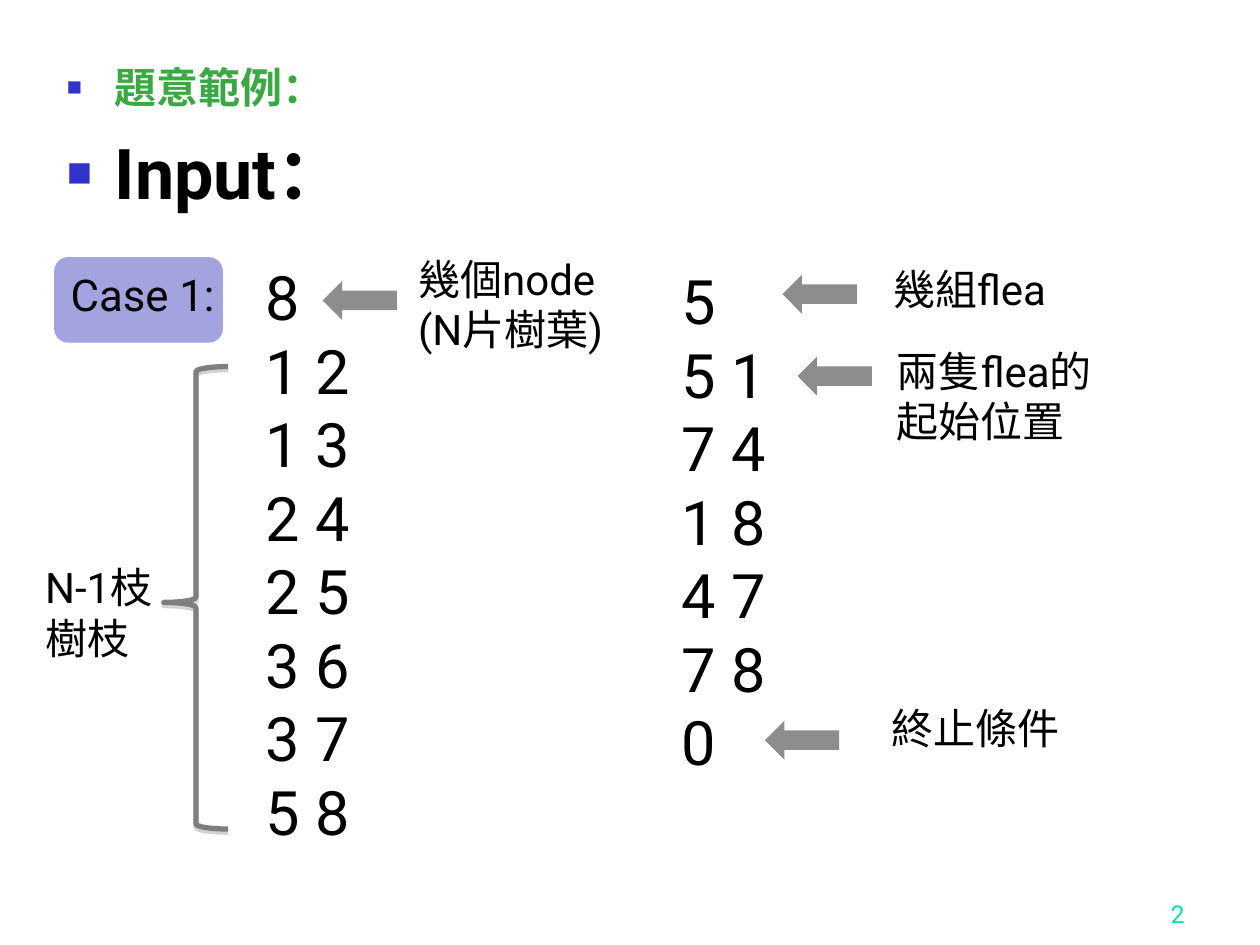
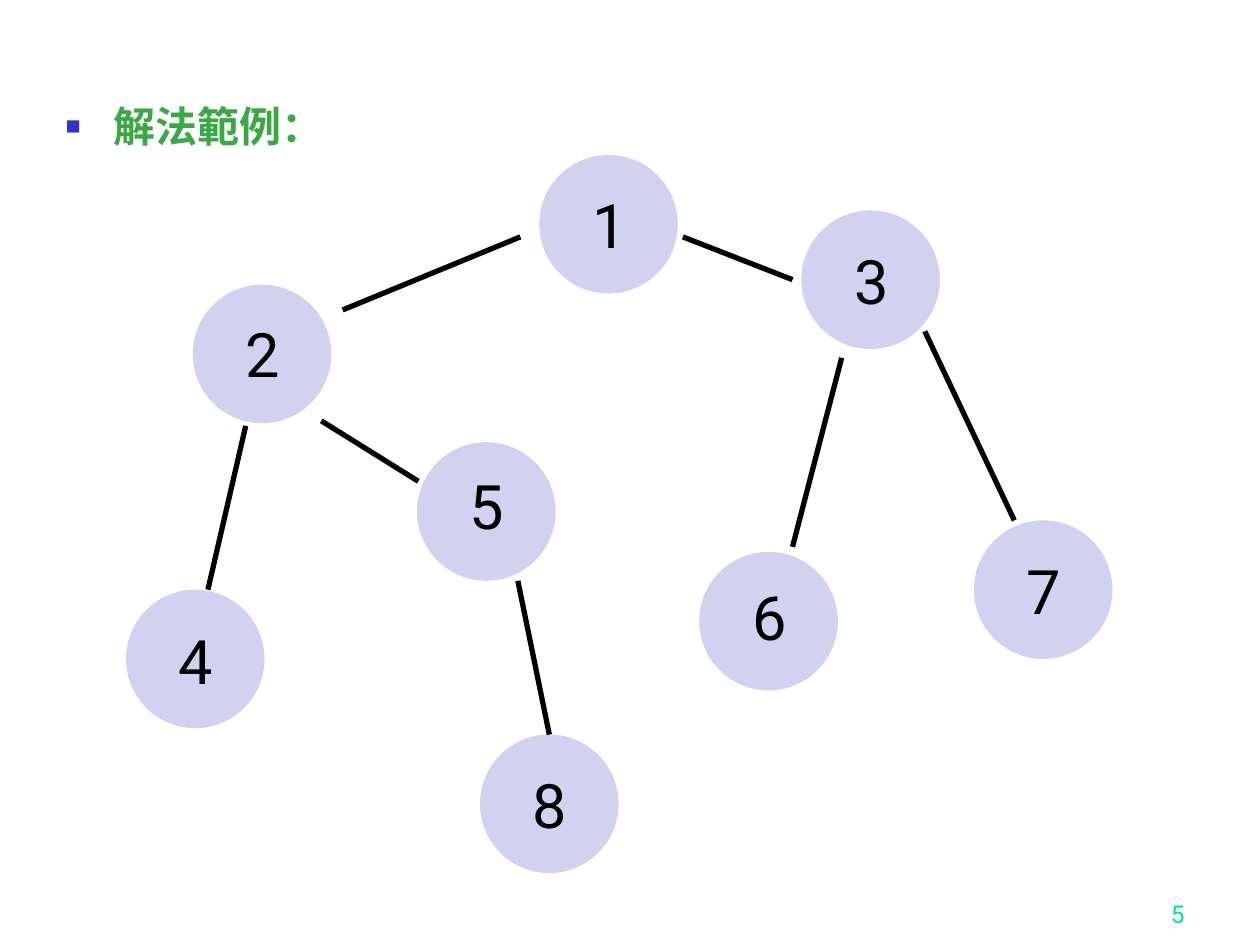
from lxml import etree
from pptx import Presentation
from pptx.dml.color import RGBColor
from pptx.enum.shapes import MSO_CONNECTOR, MSO_SHAPE
from pptx.enum.text import MSO_ANCHOR, MSO_AUTO_SIZE, PP_ALIGN
from pptx.oxml import parse_xml
from pptx.oxml.ns import nsdecls, qn
from pptx.util import Inches, Pt

LINE = MSO_CONNECTOR.STRAIGHT
ARROW = MSO_SHAPE.LEFT_ARROW
BRACE = MSO_SHAPE.LEFT_BRACE
OVAL = MSO_SHAPE.OVAL
ROUND = MSO_SHAPE.ROUNDED_RECTANGLE
TOP, BOTTOM = MSO_ANCHOR.TOP, MSO_ANCHOR.BOTTOM
LEFT, RIGHT = PP_ALIGN.LEFT, PP_ALIGN.RIGHT
GROW, FIXED = MSO_AUTO_SIZE.SHAPE_TO_FIT_TEXT, MSO_AUTO_SIZE.NONE

SANS, SERIF = "Roboto", "Times New Roman"
BLACK, GREEN, MINT, BLUE = "000000", "3BA943", "00E4A8", "3333CC"
LILAC, PALE, GREY, DARK = "A3A3E0", "D1D1F0", "8D8D8D", "7F7F7F"

NODE = 1.1
# number: left and top of the circle, drop of its label
NODES = {
    "2": (1.53, 2.26, 0.2), "4": (1, 4.68, 0.22),
    "1": (4.28, 1.23, 0.21), "5": (3.31, 3.51, 0.16),
    "8": (3.81, 5.83, 0.21), "7": (7.73, 4.13, 0.21),
    "6": (5.55, 4.38, 0.17), "3": (6.36, 1.67, 0.21),
}
EDGES = [
    (2.72, 2.46, 4.13, 1.88), (5.42, 1.88, 6.29, 2.22),
    (2.55, 3.34, 3.32, 3.82), (1.65, 4.68, 1.95, 3.38),
    (6.29, 4.34, 6.68, 2.84), (7.34, 2.63, 8.05, 4.13),
    (4.11, 4.61, 4.36, 5.83),
]


def color(code):
    return RGBColor.from_string(code)


def inches(*nums):
    return [Inches(n) for n in nums]


def add_run(para, text, size, code=BLACK, face=SANS, bold=False):
    run = para.add_run()
    run.text = text
    font = run.font
    font.size, font.name, font.bold = Pt(size), face, bold
    font.color.rgb = color(code)


def fill_text(frame, lines, size, code=BLACK, align=LEFT):
    for i, line in enumerate(lines):
        para = frame.add_paragraph() if i else frame.paragraphs[0]
        para.alignment = align
        add_run(para, line, size, code)


def add_text(slide, box, lines, size, wrap=False):
    frame = slide.shapes.add_textbox(*inches(*box)).text_frame
    frame.word_wrap = wrap
    frame.auto_size = GROW
    fill_text(frame, lines, size)


def add_shape(slide, kind, box, fill=None):
    shape = slide.shapes.add_shape(kind, *inches(*box))
    shape.shadow.inherit = False
    if fill:
        shape.fill.solid()
        shape.fill.fore_color.rgb = color(fill)
        shape.line.fill.background()
    else:
        shape.fill.background()
    return shape


def add_line(slide, ends):
    line = slide.shapes.add_connector(LINE, *inches(*ends))
    line.line.color.rgb = color(BLACK)
    line.line.width = Pt(3)
    etree.SubElement(line._element.spPr, qn("a:effectLst"))


def add_brace(slide, box):
    """Draw an open brace with a faint shadow below it."""
    brace = add_shape(slide, BRACE, box)
    brace.adjustments[0], brace.adjustments[1] = 0.08, 0.51
    brace.line.color.rgb = color(DARK)
    brace.line.width = Pt(3)
    brace._element.spPr.find(qn("a:effectLst")).append(parse_xml(
        f'<a:outerShdw {nsdecls("a")} dist="22860" dir="5400000" rotWithShape="0">'
        '<a:srgbClr val="808080"><a:alpha val="35000"/></a:srgbClr></a:outerShdw>'))


def set_bullet(para):
    props = para._p.get_or_add_pPr()
    props.set("marL", str(Inches(0.38)))
    props.set("indent", str(Inches(-0.38)))
    for xml in (f'buClr {nsdecls("a")}><a:srgbClr val="{BLUE}"/></a:buClr>',
                f'buSzPct {nsdecls("a")} val="60000"/>',
                f'buChar {nsdecls("a")} char="■"/>'):
        props.append(parse_xml("<a:" + xml))


def new_slide(deck, number, box, head):
    """Add a slide with its page number and a bulleted heading."""
    slide = deck.slides.add_slide(deck.slide_layouts[1])
    title = slide.shapes.title._element
    title.getparent().remove(title)
    page = slide.shapes.add_textbox(*inches(7.42, 6.92, 2.08, 0.5)).text_frame
    page.word_wrap = True
    page.vertical_anchor = BOTTOM
    fill_text(page, [number], 14, MINT, RIGHT)
    body = slide.placeholders[1]
    body.left, body.top, body.width, body.height = inches(*box)
    frame = body.text_frame
    frame.auto_size = FIXED
    para = frame.paragraphs[0]
    set_bullet(para)
    para.space_before = Pt(0)
    add_run(para, head, 24, GREEN, SERIF, True)
    return slide, frame


def input_slide(deck):
    slide, frame = new_slide(deck, "2", (0.43, 0.48, 8.83, 1.42), "題意範例：")
    frame.paragraphs[0].line_spacing = 0.9
    para = frame.add_paragraph()
    set_bullet(para)
    para.space_before = Pt(10)
    add_run(para, "Input：", 40, bold=True)

    tree = ["8", "1 2", "1 3", "2 4", "2 5", "3 6", "3 7", "5 8"]
    fleas = ["5", "5 1", "7 4", "1 8", "4 7", "7 8", "0"]
    add_text(slide, (2.01, 2.01, 1.07, 4.77), tree, 35, True)
    add_text(slide, (5.31, 2.04, 0.89, 4.19), fleas, 35, True)

    case = add_shape(slide, ROUND, (0.43, 2.04, 1.34, 0.68), LILAC).text_frame
    case.word_wrap = False
    case.vertical_anchor = TOP
    fill_text(case, ["Case 1:"], 25)

    for x, y in [(2.56, 2.23), (6.21, 2.18), (6.33, 2.83), (6.07, 5.72)]:
        add_shape(slide, ARROW, (x, y, 0.59, 0.31), GREY)
    add_brace(slide, (1.3, 2.91, 0.51, 3.67))

    notes = [
        ((3.22, 1.96, 1.81, 0.9), ["幾個node", "(N片樹葉)"]),
        ((0.26, 4.41, 1.16, 0.9), ["N-1枝", "樹枝"]),
        ((6.99, 2.04, 1.52, 0.5), ["幾組flea"]),
        ((7.02, 2.69, 1.93, 0.9), ["兩隻flea的", "起始位置"]),
        ((6.98, 5.53, 1.53, 0.5), ["終止條件"]),
    ]
    for box, lines in notes:
        add_text(slide, box, lines, 24)


def tree_slide(deck):
    slide, _ = new_slide(deck, "5", (0.42, 0.75, 2.46, 0.64), "解法範例：")
    for x, y, _ in NODES.values():
        add_shape(slide, OVAL, (x, y, NODE, NODE), PALE)
    for num, (x, y, drop) in NODES.items():
        add_text(slide, (x + 0.32, y + drop, 0.48, 0.69), [num], 35)
    for ends in EDGES:
        add_line(slide, ends)


def main():
    deck = Presentation()
    deck.slide_width, deck.slide_height = inches(10, 7.5)
    input_slide(deck)
    tree_slide(deck)
    deck.save("out.pptx")


if __name__ == "__main__":
    main()
